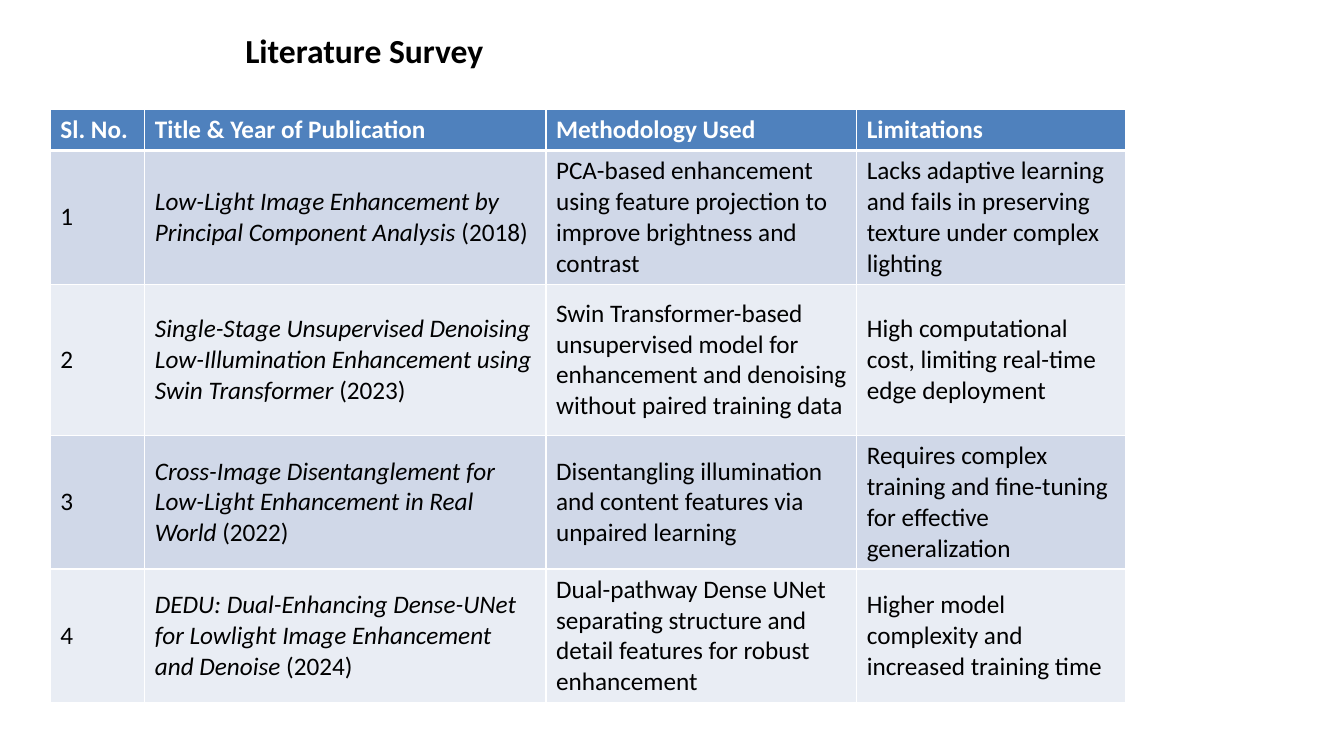
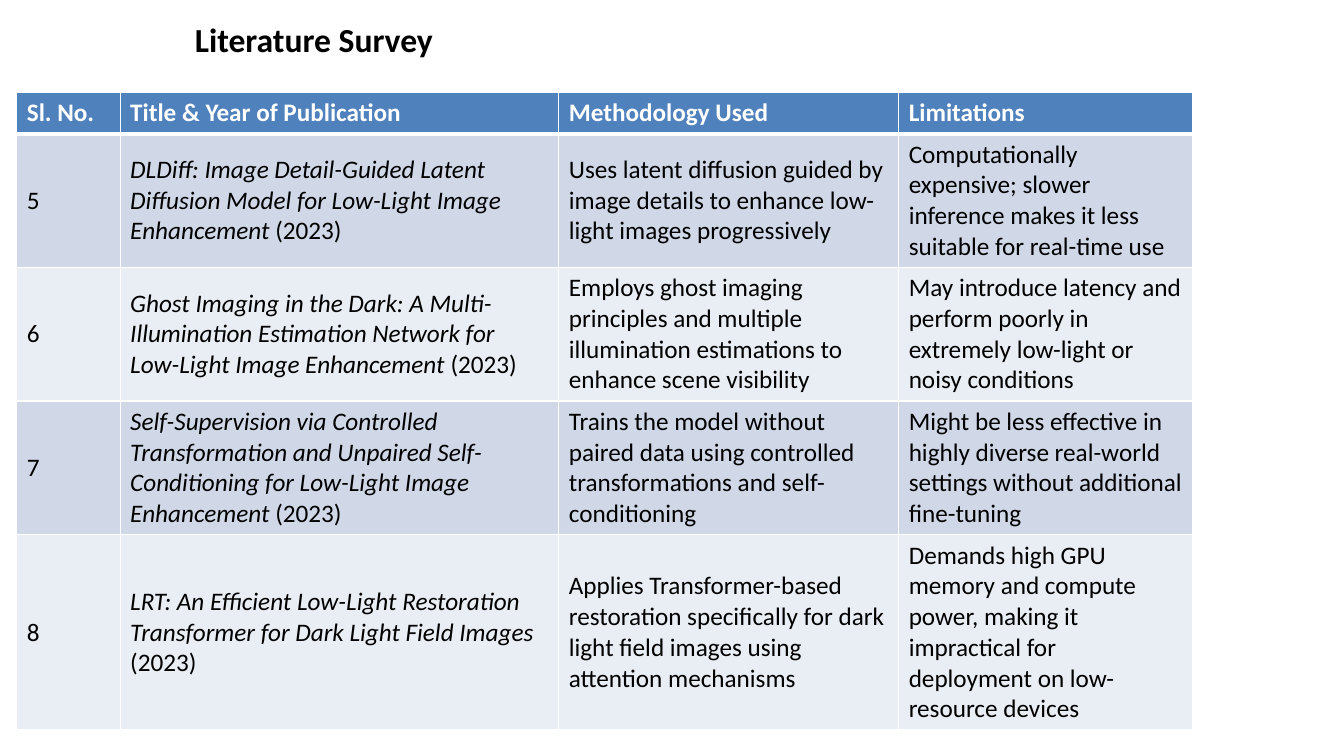
from dataclasses import dataclass
from typing import NamedTuple

from lxml import etree
from pptx import Presentation
from pptx.dml.color import RGBColor
from pptx.enum.text import MSO_ANCHOR, MSO_AUTO_SIZE, PP_ALIGN
from pptx.oxml.ns import qn
from pptx.util import Pt

TOP, MIDDLE = MSO_ANCHOR.TOP, MSO_ANCHOR.MIDDLE
FIXED_SIZE = MSO_AUTO_SIZE.NONE
LEFT = PP_ALIGN.LEFT

WHITE = RGBColor(0xFF, 0xFF, 0xFF)
BLACK = RGBColor(0x00, 0x00, 0x00)
HEADER_BLUE = RGBColor(0x4F, 0x81, 0xBD)
BAND_FILLS = (RGBColor(0xD0, 0xD8, 0xE8), RGBColor(0xE9, 0xED, 0xF4))

FONT = "Calibri"
TITLE_FORMAT = {"name": FONT, "size": Pt(24), "bold": True, "italic": False}
HEADER_FORMAT = {"name": FONT, "size": Pt(18), "bold": True, "italic": False}
BODY_FORMAT = HEADER_FORMAT | {"bold": False}
PAPER_FORMAT = BODY_FORMAT | {"italic": True}
TITLE_FRAME = {"word_wrap": True, "auto_size": FIXED_SIZE, "vertical_anchor": TOP}

SLIDE_WIDTH, SLIDE_HEIGHT = 960, 540
TITLE_WIDTH, TITLE_HEIGHT = 360, 36
TITLE_ONLY = 5
TITLE_TEXT = "Literature Survey"
HEADINGS = ("Sl. No.", "Title & Year of Publication", "Methodology Used", "Limitations")
COLUMN_UNITS = (67.5, 286.5, 222, 192)
HEADER_HEIGHT = 29.5
THIN, THICK = 1, 3


class Span(NamedTuple):
    text: str
    format: dict
    color: RGBColor = BLACK


class Study(NamedTuple):
    title: str
    year: int
    method: str
    limitation: str
    height: float = 95.5


@dataclass(frozen=True)
class SurveyPage:
    title_left: float
    title_top: float
    table_left: float
    table_top: float
    table_width: float
    first_number: int
    studies: tuple[Study, ...]


PAGES = (
    SurveyPage(168, 18, 36, 78, 768, 1, (
        Study("Low-Light Image Enhancement by Principal Component Analysis", 2018,
              "PCA-based enhancement using feature projection to improve brightness and contrast",
              "Lacks adaptive learning and fails in preserving texture under complex lighting"),
        Study("Single-Stage Unsupervised Denoising Low-Illumination Enhancement using "
              "Swin Transformer", 2023,
              "Swin Transformer-based unsupervised model for enhancement and denoising "
              "without paired training data",
              "High computational cost, limiting real-time edge deployment", 108),
        Study("Cross-Image Disentanglement for Low-Light Enhancement in Real World", 2022,
              "Disentangling illumination and content features via unpaired learning",
              "Requires complex training and fine-tuning for effective generalization"),
        Study("DEDU: Dual-Enhancing Dense-UNet for Lowlight Image Enhancement and Denoise", 2024,
              "Dual-pathway Dense UNet separating structure and detail features for robust "
              "enhancement",
              "Higher model complexity and increased training time"),
    )),
    SurveyPage(132, 10, 12, 66, 840, 5, (
        Study("DLDiff: Image Detail-Guided Latent Diffusion Model for Low-Light Image "
              "Enhancement", 2023,
              "Uses latent diffusion guided by image details to enhance low-light images "
              "progressively",
              "Computationally expensive; slower inference makes it less suitable for "
              "real-time use"),
        Study("Ghost Imaging in the Dark: A Multi-Illumination Estimation Network for "
              "Low-Light Image Enhancement", 2023,
              "Employs ghost imaging principles and multiple illumination estimations to "
              "enhance scene visibility",
              "May introduce latency and perform poorly in extremely low-light or noisy "
              "conditions"),
        Study("Self-Supervision via Controlled Transformation and Unpaired Self-Conditioning "
              "for Low-Light Image Enhancement", 2023,
              "Trains the model without paired data using controlled transformations and "
              "self-conditioning",
              "Might be less effective in highly diverse real-world settings without "
              "additional fine-tuning"),
        Study("LRT: An Efficient Low-Light Restoration Transformer for Dark Light Field Images",
              2023,
              "Applies Transformer-based restoration specifically for dark light field images "
              "using attention mechanisms",
              "Demands high GPU memory and compute power, making it impractical for deployment "
              "on low-resource devices", 139.5),
    )),
)


def set_attributes(target, values: dict) -> None:
    for name, value in values.items():
        setattr(target, name, value)


def write_spans(para, spans: list[Span]) -> None:
    para.alignment = LEFT
    for span in spans:
        run = para.add_run()
        run.text = span.text
        set_attributes(run.font, span.format)
        run.font.color.rgb = span.color


def add_title(slide, page: SurveyPage) -> None:
    box = slide.shapes.title
    set_attributes(box, {
        "left": Pt(page.title_left), "top": Pt(page.title_top),
        "width": Pt(TITLE_WIDTH), "height": Pt(TITLE_HEIGHT),
    })
    set_attributes(box.text_frame, TITLE_FRAME)
    write_spans(box.text_frame.paragraphs[0], [Span(TITLE_TEXT, TITLE_FORMAT)])


def add_borders(cell, top: int, bottom: int) -> None:
    properties = cell._tc.get_or_add_tcPr()
    for side, width in {"L": THIN, "R": THIN, "T": top, "B": bottom}.items():
        line = etree.SubElement(properties, qn(f"a:ln{side}"), w=str(Pt(width)))
        fill = etree.SubElement(line, qn("a:solidFill"))
        etree.SubElement(fill, qn("a:srgbClr"), val=str(WHITE))


def fill_row(table, row: int, height: float, color: RGBColor, contents: list[list[Span]]) -> None:
    table.rows[row].height = Pt(height)
    for column, spans in enumerate(contents):
        cell = table.cell(row, column)
        add_borders(cell, THICK if row == 1 else THIN, THICK if row == 0 else THIN)
        cell.fill.solid()
        cell.fill.fore_color.rgb = color
        cell.vertical_anchor = MIDDLE
        write_spans(cell.text_frame.paragraphs[0], spans)


def add_survey_table(slide, page: SurveyPage) -> None:
    height = HEADER_HEIGHT + sum(study.height for study in page.studies)
    table = slide.shapes.add_table(
        len(page.studies) + 1, len(HEADINGS),
        Pt(page.table_left), Pt(page.table_top), Pt(page.table_width), Pt(height),
    ).table
    scale = page.table_width / sum(COLUMN_UNITS)
    for column, units in zip(table.columns, COLUMN_UNITS):
        column.width = Pt(units * scale)
    headings = [[Span(heading, HEADER_FORMAT, WHITE)] for heading in HEADINGS]
    fill_row(table, 0, HEADER_HEIGHT, HEADER_BLUE, headings)
    for index, study in enumerate(page.studies):
        contents = [
            [Span(str(page.first_number + index), BODY_FORMAT)],
            [Span(study.title, PAPER_FORMAT), Span(f" ({study.year})", BODY_FORMAT)],
            [Span(study.method, BODY_FORMAT)],
            [Span(study.limitation, BODY_FORMAT)],
        ]
        fill_row(table, index + 1, study.height, BAND_FILLS[index % 2], contents)


def main() -> None:
    deck = Presentation()
    deck.slide_width, deck.slide_height = Pt(SLIDE_WIDTH), Pt(SLIDE_HEIGHT)
    for page in PAGES:
        slide = deck.slides.add_slide(deck.slide_layouts[TITLE_ONLY])
        add_title(slide, page)
        add_survey_table(slide, page)
    deck.save("out.pptx")


if __name__ == "__main__":
    main()
